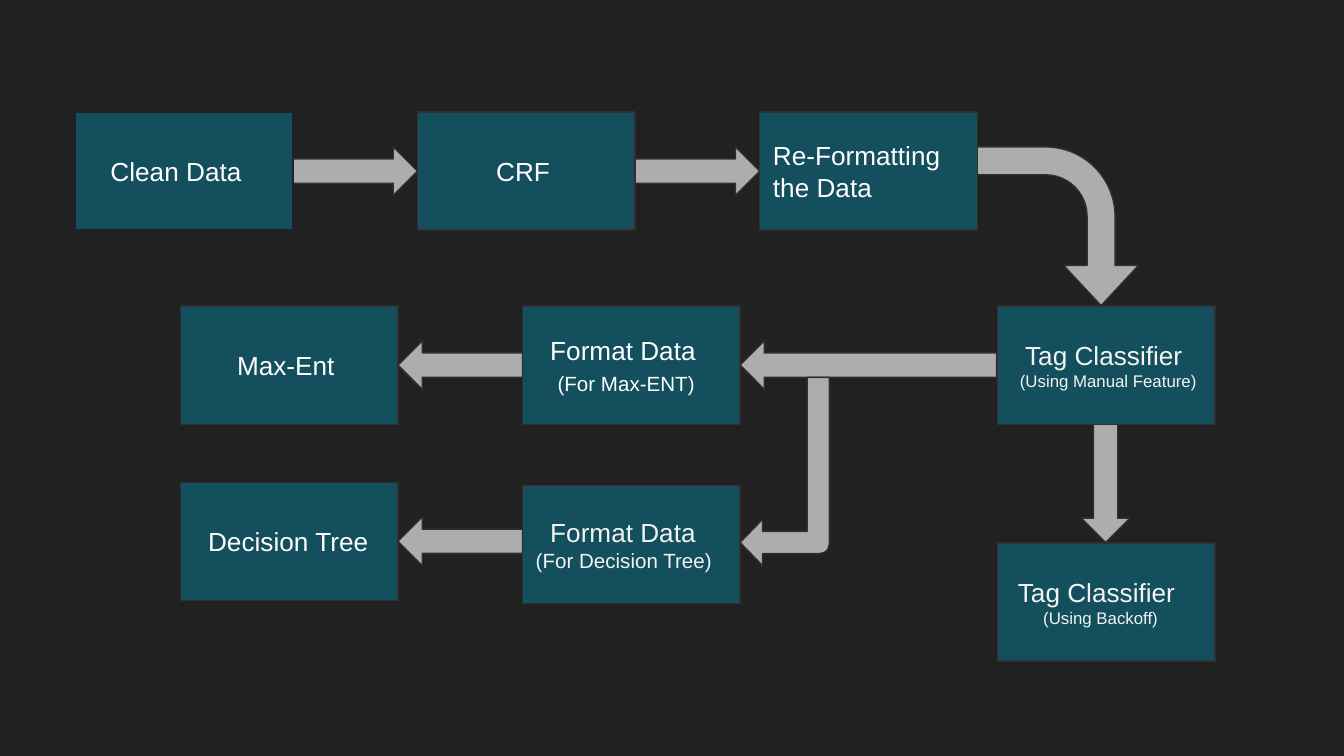
from typing import NamedTuple

from pptx import Presentation
from pptx.dml.color import RGBColor
from pptx.enum.shapes import MSO_SHAPE
from pptx.enum.text import MSO_ANCHOR, PP_ALIGN
from pptx.shapes.autoshape import Shape
from pptx.slide import Slide
from pptx.util import Pt

DARK, EDGE, TEAL, GREY = "212121", "303030", "134F5C", "ADADAD"
WHITE, PALE = "FFFFFF", "F3F3F3"
WIDE, HIGH, STEP = 116.6, 63.3, 183.3
SPAN, THICK = STEP - WIDE, 26
TOP = [40.4 + STEP * i for i in range(3)]
LOW = [96.6, 96.6 + STEP]
RIGHT = 534.3
ROW1, ROW2, ROW3 = 60, 164, 260


class Line(NamedTuple):
    text: str
    indent: float
    size: float = 14
    before: float = 0


class Box(NamedTuple):
    left: float
    top: float
    lines: list[Line]
    ink: str = WHITE
    edge: str = EDGE


class Arrow(NamedTuple):
    kind: MSO_SHAPE
    left: float
    top: float
    width: float
    height: float
    turn: float = 0
    bends: tuple[float, ...] = (0.5, 0.5)


def tint(code: str) -> RGBColor:
    """Turn a hex string into a colour."""
    return RGBColor.from_string(code)


def add_form(slide: Slide, kind: MSO_SHAPE, left: float, top: float,
             width: float, height: float, fill: str, edge: str) -> Shape:
    """Add a flat shape with a thin outline."""
    form = slide.shapes.add_shape(kind, Pt(left), Pt(top), Pt(width), Pt(height))
    form.shadow.inherit = False
    form.fill.solid()
    form.fill.fore_color.rgb = tint(fill)
    form.line.color.rgb = tint(edge)
    form.line.width = Pt(0.75)
    return form


def draw_arrow(slide: Slide, arrow: Arrow) -> None:
    """Draw a block arrow."""
    form = add_form(slide, arrow.kind, arrow.left, arrow.top,
                    arrow.width, arrow.height, GREY, EDGE)
    form.rotation = arrow.turn
    for i, bend in enumerate(arrow.bends):
        form.adjustments[i] = bend


def draw_box(slide: Slide, box: Box) -> None:
    """Draw a step of the flow with its text."""
    form = add_form(slide, MSO_SHAPE.RECTANGLE, box.left, box.top,
                    WIDE, HIGH, TEAL, box.edge)
    frame = form.text_frame
    frame.word_wrap = True
    frame.vertical_anchor = MSO_ANCHOR.MIDDLE
    frame.margin_left = frame.margin_right = Pt(7.2)
    frame.margin_top = frame.margin_bottom = Pt(7.2)
    frame.text = "\n".join(line.text for line in box.lines)
    for para, line in zip(frame.paragraphs, box.lines):
        para.alignment = PP_ALIGN.LEFT
        para.space_before = Pt(line.before)
        para._p.get_or_add_pPr().set("marL", str(Pt(line.indent)))
        for run in para.runs:
            run.font.name = "Arial"
            run.font.size = Pt(line.size)
            run.font.color.rgb = tint(box.ink)


ARROWS = [
    Arrow(MSO_SHAPE.RIGHT_ARROW, TOP[0] + WIDE, 78.7, SPAN, THICK),
    Arrow(MSO_SHAPE.RIGHT_ARROW, TOP[1] + WIDE, 78.7, SPAN, THICK),
    Arrow(MSO_SHAPE.BENT_ARROW, 524.2, 78, 85, 86.4, 90, (0.176, 0.236, 0.253, 0.438)),
    Arrow(MSO_SHAPE.DOWN_ARROW, 579.3, ROW2 + HIGH, THICK, HIGH),
    Arrow(MSO_SHAPE.LEFT_ARROW, LOW[1] + WIDE, 182.6, 137.4, THICK),
    Arrow(MSO_SHAPE.BENT_ARROW, LOW[1] + WIDE, 202.2, 47.8, 100.8, 180,
          (0.25, 0.259, 0.25, 0.111)),
    Arrow(MSO_SHAPE.LEFT_ARROW, LOW[0] + WIDE, 182.6, SPAN, THICK),
    Arrow(MSO_SHAPE.LEFT_ARROW, LOW[0] + WIDE, 277, SPAN, THICK),
]
BOXES = [
    Box(TOP[0], ROW1, [Line("Clean Data", 11.7)], edge=DARK),
    Box(TOP[1], ROW1, [Line("CRF", 35)]),
    Box(TOP[2], ROW1, [Line("Re-Formatting the Data", 0)]),
    Box(RIGHT, ROW2, [Line("Tag Classifier", 7.8),
                      Line("(Using Manual Feature)", 5, 9)], PALE),
    Box(RIGHT, 290.8, [Line("Tag Classifier", 3.9),
                       Line("(Using Backoff)", 17.5, 9)], PALE),
    Box(LOW[1], ROW2, [Line("Format Data", 7.8),
                       Line("(For Max-ENT)", 11.7, 11, 3)]),
    Box(LOW[1], ROW3, [Line("Format Data", 7.8),
                       Line("(For Decision Tree)", 0, 11)], PALE),
    Box(LOW[0], ROW2, [Line("Max-Ent", 23.3)]),
    Box(LOW[0], 258.4, [Line("Decision Tree", 7.8)]),
]


def main() -> None:
    """Build the flow chart slide."""
    deck = Presentation()
    deck.slide_width, deck.slide_height = Pt(720), Pt(405)
    slide = deck.slides.add_slide(deck.slide_layouts[6])
    slide.background.fill.solid()
    slide.background.fill.fore_color.rgb = tint(DARK)
    for arrow in ARROWS:
        draw_arrow(slide, arrow)
    for box in BOXES:
        draw_box(slide, box)
    deck.save("out.pptx")


if __name__ == "__main__":
    main()
